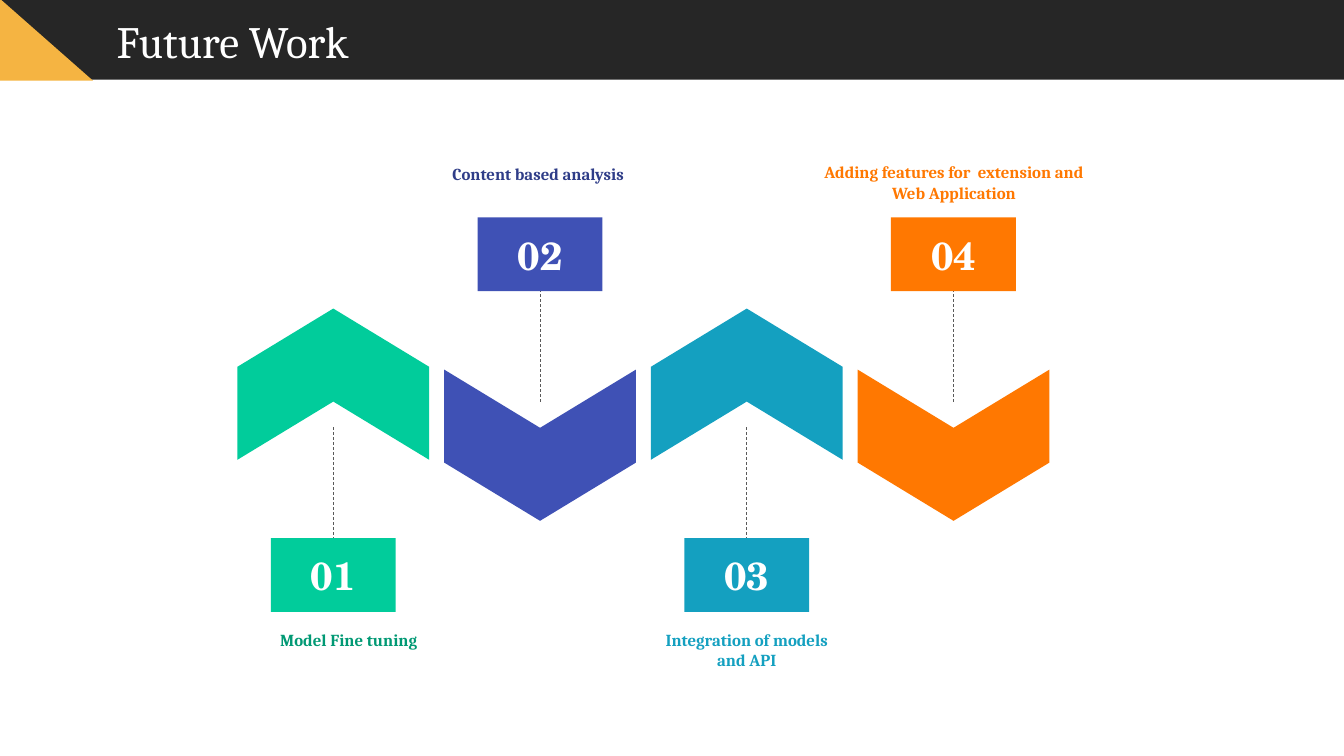
"""Build the Future Work slide: four alternating chevrons with numbered badges."""
from dataclasses import dataclass

from lxml import etree
from pptx import Presentation
from pptx.dml.color import RGBColor
from pptx.enum.dml import MSO_LINE
from pptx.enum.shapes import MSO_CONNECTOR, MSO_SHAPE
from pptx.enum.text import MSO_ANCHOR, PP_ALIGN
from pptx.oxml.ns import qn
from pptx.shapes.autoshape import Shape
from pptx.slide import Slide
from pptx.util import Cm, Pt

RECTANGLE, CHEVRON, TRIANGLE = MSO_SHAPE.RECTANGLE, MSO_SHAPE.CHEVRON, MSO_SHAPE.RIGHT_TRIANGLE
STRAIGHT, DASH = MSO_CONNECTOR.STRAIGHT, MSO_LINE.DASH
CENTER, LEFT = PP_ALIGN.CENTER, PP_ALIGN.LEFT
TOP, MIDDLE = MSO_ANCHOR.TOP, MSO_ANCHOR.MIDDLE


@dataclass(frozen=True)
class Theme:
    """Colours, fonts and type sizes of the slide."""
    header: str = "262626"
    accent: str = "F5B442"
    leader: str = "595959"
    white: str = "FFFFFF"
    green: str = "01CC9B"
    dark_green: str = "019974"
    indigo: str = "3F51B5"
    dark_indigo: str = "2F3D88"
    teal: str = "14A0C0"
    orange: str = "FF7801"
    text_font: str = "Cambria"
    number_font: str = "TeX Gyre Schola"
    title_size: int = 32
    number_size: int = 28
    caption_size: int = 12


@dataclass(frozen=True)
class Box:
    """Left, top, width and height in centimetres."""
    left: float
    top: float
    width: float
    height: float

    def lengths(self) -> tuple[Cm, Cm, Cm, Cm]:
        """Return the four values as slide lengths."""
        return Cm(self.left), Cm(self.top), Cm(self.width), Cm(self.height)


@dataclass(frozen=True)
class Step:
    """One numbered step with its colours and caption."""
    caption: str
    color: str
    caption_color: str
    caption_box: Box


THEME = Theme()
STEPS = (
    Step("Model Fine tuning", THEME.green, THEME.dark_green, Box(5.74, 15.75, 6.1, 0.76)),
    Step("Content based analysis ", THEME.indigo, THEME.dark_indigo, Box(10.97, 4.01, 5.28, 1.27)),
    Step("Integration of models and API", THEME.teal, THEME.teal, Box(16.18, 15.75, 5.28, 1.27)),
    Step("Adding features for  extension and Web Application", THEME.orange, THEME.orange,
         Box(20.22, 3.96, 7.65, 1.27)),
)
FIRST_CENTER, STEP_PITCH, MIDLINE = 8.4, 5.21, 10.45
CHEVRON_LENGTH, CHEVRON_SPAN, CHEVRON_SHIFT = 3.81, 4.83, 0.77
LEADER_START, LEADER_END = 0.32, 3.11
BADGE_WIDTH, BADGE_HEIGHT = 3.15, 1.86


def centered_box(center_x: float, center_y: float, width: float, height: float) -> Box:
    """Return a box placed around a centre point."""
    return Box(center_x - width / 2, center_y - height / 2, width, height)


def add_filled_shape(slide: Slide, kind: MSO_SHAPE, box: Box, color: str) -> Shape:
    """Add a flat preset shape without outline or shadow."""
    shape = slide.shapes.add_shape(kind, *box.lengths())
    shape.shadow.inherit = False
    shape.fill.solid()
    shape.fill.fore_color.rgb = RGBColor.from_string(color)
    shape.line.fill.background()
    return shape


def write_text(shape: Shape, text: str, color: str, alignment: PP_ALIGN = CENTER,
               anchor: MSO_ANCHOR = TOP, **font_format: object) -> None:
    """Write one formatted paragraph into a shape."""
    frame = shape.text_frame
    frame.word_wrap = True
    frame.vertical_anchor = anchor
    paragraph = frame.paragraphs[0]
    paragraph.alignment = alignment
    run = paragraph.add_run()
    run.text = text
    for name, value in font_format.items():
        setattr(run.font, name, value)
    run.font.color.rgb = RGBColor.from_string(color)


def add_leader(slide: Slide, center: float, start: float, end: float) -> None:
    """Add a vertical dashed line from a chevron to its badge."""
    connector = slide.shapes.add_connector(STRAIGHT, Cm(center), Cm(start), Cm(center), Cm(end))
    connector.line.color.rgb = RGBColor.from_string(THEME.leader)
    connector.line.width = Pt(0.5)
    connector.line.dash_style = DASH
    etree.SubElement(connector.element.spPr, qn("a:effectLst"))


def add_header(slide: Slide) -> None:
    """Add the title bar, its corner triangle and the title."""
    add_filled_shape(slide, RECTANGLE, Box(0, 0, 33.87, 2.01), THEME.header)
    add_filled_shape(slide, TRIANGLE, Box(0, -0.03, 2.34, 2.06), THEME.accent)
    title = slide.shapes.add_textbox(*Box(2.69, 0.23, 28.3, 1.63).lengths())
    write_text(title, "Future Work", THEME.white, LEFT,
               name=THEME.text_font, size=Pt(THEME.title_size))


def add_step(slide: Slide, index: int, step: Step) -> None:
    """Add one step, with odd numbers hanging below and even ones above."""
    side = 1 if index % 2 == 0 else -1
    center = FIRST_CENTER + index * STEP_PITCH
    chevron_box = centered_box(center, MIDLINE - side * CHEVRON_SHIFT, CHEVRON_LENGTH, CHEVRON_SPAN)
    chevron = add_filled_shape(slide, CHEVRON, chevron_box, step.color)
    chevron.adjustments[0] = 0.385
    chevron.rotation = 270 if side > 0 else 90
    add_leader(slide, center, MIDLINE + side * LEADER_START, MIDLINE + side * LEADER_END)
    badge_center = MIDLINE + side * (LEADER_END + BADGE_HEIGHT / 2)
    badge_box = centered_box(center, badge_center, BADGE_WIDTH, BADGE_HEIGHT)
    badge = add_filled_shape(slide, RECTANGLE, badge_box, step.color)
    write_text(badge, f"{index + 1:02d}", THEME.white, anchor=MIDDLE,
               name=THEME.number_font, size=Pt(THEME.number_size), bold=True)
    caption = slide.shapes.add_textbox(*step.caption_box.lengths())
    write_text(caption, step.caption, step.caption_color,
               name=THEME.text_font, size=Pt(THEME.caption_size), bold=True)


def main() -> None:
    """Build and save the presentation."""
    presentation = Presentation()
    presentation.slide_width, presentation.slide_height = Cm(33.87), Cm(19.05)
    slide = presentation.slides.add_slide(presentation.slide_layouts[6])
    add_header(slide)
    for index, step in enumerate(STEPS):
        add_step(slide, index, step)
    presentation.save("out.pptx")


if __name__ == "__main__":
    main()
